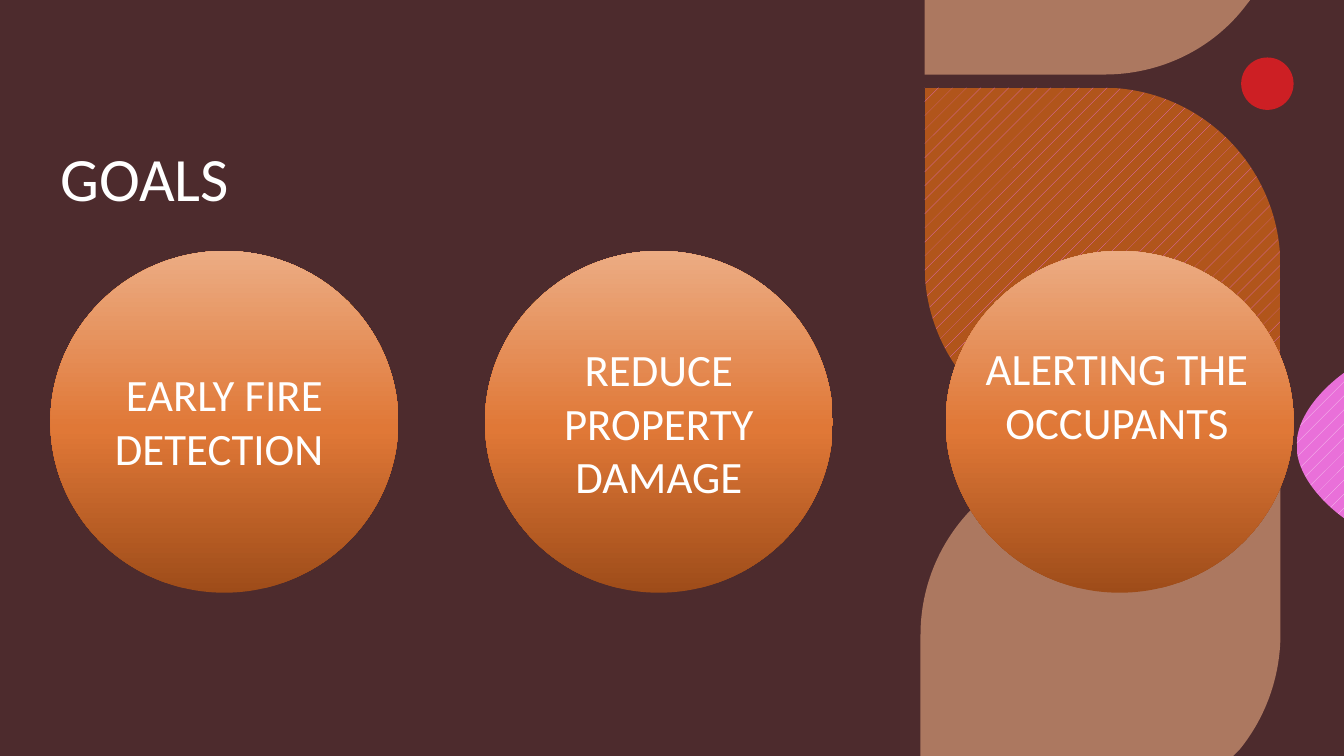
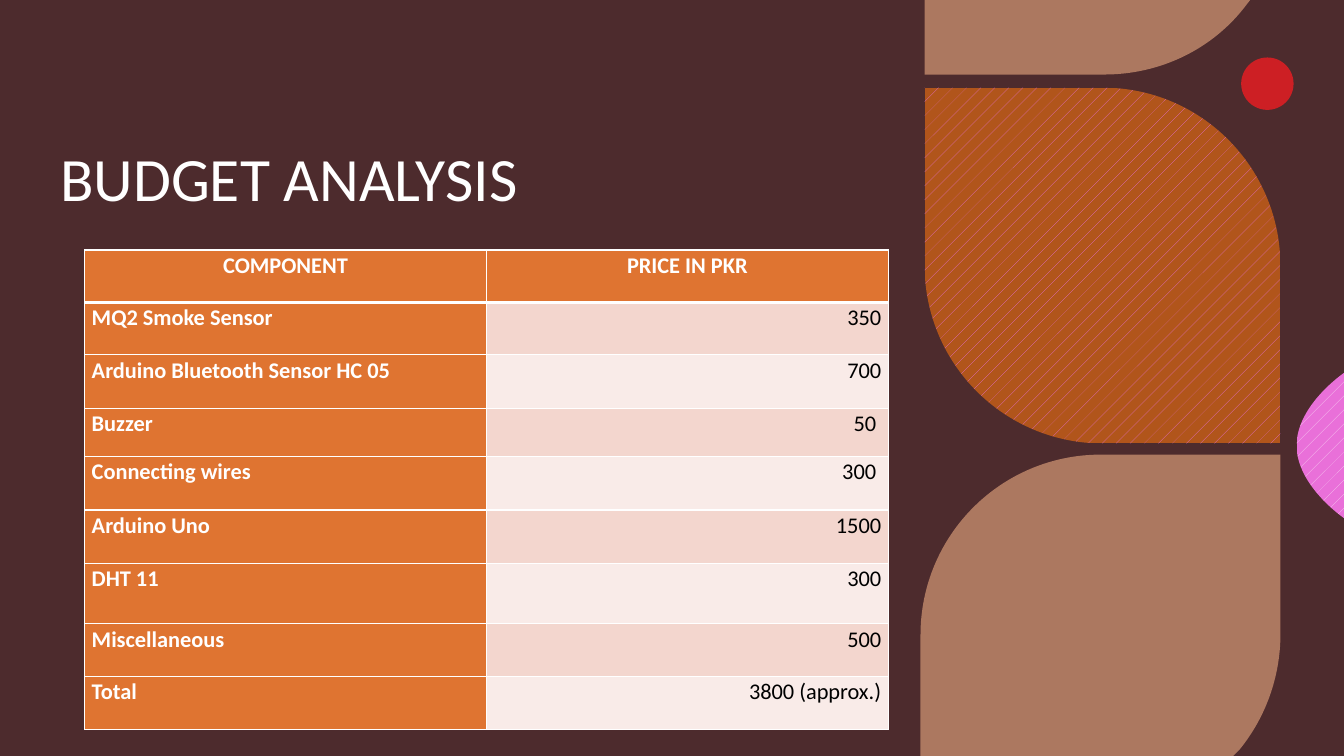
from copy import deepcopy

from lxml import etree
from pptx import Presentation
from pptx.dml.color import RGBColor
from pptx.enum.dml import MSO_PATTERN
from pptx.enum.shapes import MSO_SHAPE
from pptx.enum.text import MSO_ANCHOR, PP_ALIGN
from pptx.oxml.ns import qn
from pptx.util import Pt

PIXEL = 9144
SLIDE_WIDTH, SLIDE_HEIGHT = 1333, 750
FONT = "Calibri"

OVAL, RECTANGLE = MSO_SHAPE.OVAL, MSO_SHAPE.RECTANGLE
DOTS = MSO_PATTERN.PERCENT_5
TOP, BOTTOM = MSO_ANCHOR.TOP, MSO_ANCHOR.BOTTOM
LEFT, CENTER, RIGHT = PP_ALIGN.LEFT, PP_ALIGN.CENTER, PP_ALIGN.RIGHT

WHITE = RGBColor(0xFF, 0xFF, 0xFF)
BLACK = RGBColor(0x00, 0x00, 0x00)
BACKGROUND = RGBColor(0x32, 0x1C, 0x1D)
VEIL = RGBColor(0x77, 0x43, 0x45)
RED = RGBColor(0xCD, 0x1F, 0x24)
PEACH = RGBColor(0xEC, 0xAC, 0x83)
PINK = RGBColor(0xE9, 0x70, 0xD9)
PALE_PINK = RGBColor(0xF8, 0xCF, 0xF2)
RUST = RGBColor(0xB1, 0x55, 0x1B)
ORANGE = RGBColor(0xDF, 0x74, 0x31)
BAND_DARK = RGBColor(0xF3, 0xD6, 0xCE)
BAND_LIGHT = RGBColor(0xF9, 0xEB, 0xE8)
GOAL_STOPS = [
    (0, RGBColor(0x9E, 0x4C, 0x19)),
    (0.48, RGBColor(0xE0, 0x78, 0x37)),
    (1, PEACH),
]

TOP_LEAF = [
    [(917, 0)], [(1240, 0)], [(1233, 9)],
    [(1201, 49), (1151, 74), (1095, 74)],
    [(917, 74)],
]
MIDDLE_LEAF = [
    [(1270, 440)], [(1094, 440)],
    [(996, 440), (917, 361), (917, 263)],
    [(917, 87)], [(1094, 87)],
    [(1191, 87), (1270, 166), (1270, 264)],
]
BOTTOM_LEAF = [
    [(1092, 451)], [(1270, 451)], [(1270, 629)],
    [(1270, 672), (1255, 712), (1230, 743)],
    [(1223, 750)], [(913, 750)], [(913, 630)],
    [(913, 531), (993, 451), (1092, 451)],
]
PINK_PETAL = [
    [(1333, 370)], [(1333, 514)],
    [(1333, 514), (1286, 482), (1286, 442)],
    [(1286, 402), (1333, 370), (1333, 370)],
]

GOALS = [
    (50, "EARLY FIRE DETECTION ", (75, 359, 295, 118)),
    (481, "REDUCE PROPERTY DAMAGE", (493, 334, 321, 172)),
    (938, "ALERTING THE OCCUPANTS", (958, 333, 300, 172)),
]
BUDGET = [
    (52, "COMPONENT", "PRICE IN PKR"),
    (52, "MQ2 Smoke Sensor", "350"),
    (53, "Arduino Bluetooth Sensor HC 05", "700"),
    (48, "Buzzer", "50 "),
    (53, "Connecting wires", "300 "),
    (53, "Arduino Uno", "1500"),
    (60, "DHT 11", "300"),
    (52, "Miscellaneous", "500"),
    (53, "Total", "3800 (approx.)"),
]


def px(*lengths):
    """Turn pixel lengths into EMU."""
    return [length * PIXEL for length in lengths]


def finish(shape):
    """Remove the outline and shadow of a shape."""
    shape.line.fill.background()
    shape.shadow.inherit = False


def fill_solid(shape, color, opacity=100):
    """Fill a shape with one colour, optionally see-through."""
    shape.fill.solid()
    shape.fill.fore_color.rgb = color
    if opacity < 100:
        srgb = shape.element.spPr.find(".//" + qn("a:srgbClr"))
        etree.SubElement(srgb, qn("a:alpha"), val=str(opacity * 1000))


def fill_pattern(shape, front, back):
    """Fill a shape with the dotted pattern."""
    shape.fill.patterned()
    shape.fill.pattern = DOTS
    shape.fill.fore_color.rgb = front
    shape.fill.back_color.rgb = back


def fill_gradient(shape, stops):
    """Fill a shape with a three-stop gradient rising from the bottom."""
    shape.fill.gradient()
    shape.fill.gradient_angle = 90
    stop_list = shape.element.spPr.find(".//" + qn("a:gsLst"))
    stop_list.insert(1, deepcopy(stop_list[0]))
    for stop, (position, color) in zip(shape.fill.gradient_stops, stops):
        stop.position = position
        stop.color.rgb = color


def add_preset(page, kind, area):
    """Add a preset shape without outline or shadow."""
    shape = page.shapes.add_shape(kind, *px(*area))
    finish(shape)
    return shape


def bend_curves(shape, steps):
    """Merge each three-point step of a freeform into one cubic curve."""
    segments = iter(list(shape.element.spPr.iter(qn("a:lnTo"))))
    for step in steps:
        lines = [next(segments) for point in step]
        if len(lines) == 3:
            curve = etree.Element(qn("a:cubicBezTo"))
            lines[0].addprevious(curve)
            for line in lines:
                curve.append(line[0])
                line.getparent().remove(line)


def add_outline(page, steps):
    """Add a closed freeform of straight and curved steps."""
    start, *others = [px(*point) for step in steps for point in step]
    builder = page.shapes.build_freeform(*start)
    builder.add_line_segments(others, close=True)
    shape = builder.convert_to_shape()
    bend_curves(shape, steps[1:])
    finish(shape)
    return shape


def write(para, text, size, color, bold=False):
    """Add one styled run to a paragraph."""
    span = para.add_run()
    span.text = text
    span.font.name = FONT
    span.font.size = Pt(size)
    span.font.bold = bold
    span.font.color.rgb = color


def add_text(page, area, text, size, align=LEFT, anchor=TOP, spacing=1.0):
    """Add a wrapping white text box."""
    box = page.shapes.add_textbox(*px(*area))
    box.text_frame.word_wrap = True
    box.text_frame.vertical_anchor = anchor
    para = box.text_frame.paragraphs[0]
    para.alignment = align
    para.line_spacing = spacing
    write(para, text, size, WHITE)


def add_page(deck, title):
    """Add a slide with the shared backdrop, leaves and title."""
    page = deck.slides.add_slide(deck.slide_layouts[6])
    page.background.fill.solid()
    page.background.fill.fore_color.rgb = BACKGROUND
    veil = add_preset(page, RECTANGLE, (0, 0, SLIDE_WIDTH, SLIDE_HEIGHT))
    fill_solid(veil, VEIL, 40)
    fill_solid(add_preset(page, OVAL, (1231, 57, 52, 52)), RED)
    for leaf in (TOP_LEAF, BOTTOM_LEAF):
        fill_solid(add_outline(page, leaf), PEACH, 60)
    fill_pattern(add_outline(page, PINK_PETAL), PALE_PINK, PINK)
    fill_pattern(add_outline(page, MIDDLE_LEAF), PINK, RUST)
    add_text(page, (50, 73, 840, 145), title, 44, anchor=BOTTOM, spacing=0.9)
    return page


def add_goal(page, left, text, text_area):
    """Add a gradient circle with its label."""
    circle = add_preset(page, OVAL, (left, 249, 345, 339))
    fill_gradient(circle, GOAL_STOPS)
    add_text(page, text_area, text, 32, CENTER)


def set_borders(cell, widths):
    """Draw white cell borders with a width in points for each side."""
    properties = cell._tc.get_or_add_tcPr()
    for side, width in widths.items():
        line = etree.SubElement(properties, qn("a:ln" + side), w=str(Pt(width)))
        fill = etree.SubElement(line, qn("a:solidFill"))
        etree.SubElement(fill, qn("a:srgbClr"), val=str(WHITE))


def fill_cell(cell, text, row, column):
    """Style and write one budget cell."""
    is_header = row == 0
    is_label = is_header or column == 0
    set_borders(cell, {"L": 1, "R": 1, "T": 3 if row == 1 else 1, "B": 3 if is_header else 1})
    cell.fill.solid()
    band = BAND_DARK if row % 2 else BAND_LIGHT
    cell.fill.fore_color.rgb = ORANGE if is_label else band
    cell.margin_left, cell.margin_right, cell.margin_top, cell.margin_bottom = px(7, 7, 0, 0)
    para = cell.text_frame.paragraphs[0]
    para.alignment = CENTER if is_header else (LEFT, RIGHT)[column]
    para.line_spacing = 1.07
    para.space_after = Pt(8)
    write(para, text, 16, WHITE if is_label else BLACK, is_label)


def add_budget(page, rows):
    """Add the table of components and prices."""
    area = px(84, 248, 797, sum(height for height, *texts in rows))
    table = page.shapes.add_table(len(rows), 2, *area).table
    table.first_row = False
    table.horz_banding = False
    for row, (height, *texts) in enumerate(rows):
        table.rows[row].height = px(height)[0]
        for column, text in enumerate(texts):
            fill_cell(table.cell(row, column), text, row, column)


def main():
    """Build and save the deck."""
    deck = Presentation()
    deck.slide_width, deck.slide_height = px(SLIDE_WIDTH, SLIDE_HEIGHT)
    goals_page = add_page(deck, "GOALS")
    for goal in GOALS:
        add_goal(goals_page, *goal)
    add_budget(add_page(deck, "BUDGET ANALYSIS"), BUDGET)
    deck.save("out.pptx")


if __name__ == "__main__":
    main()
